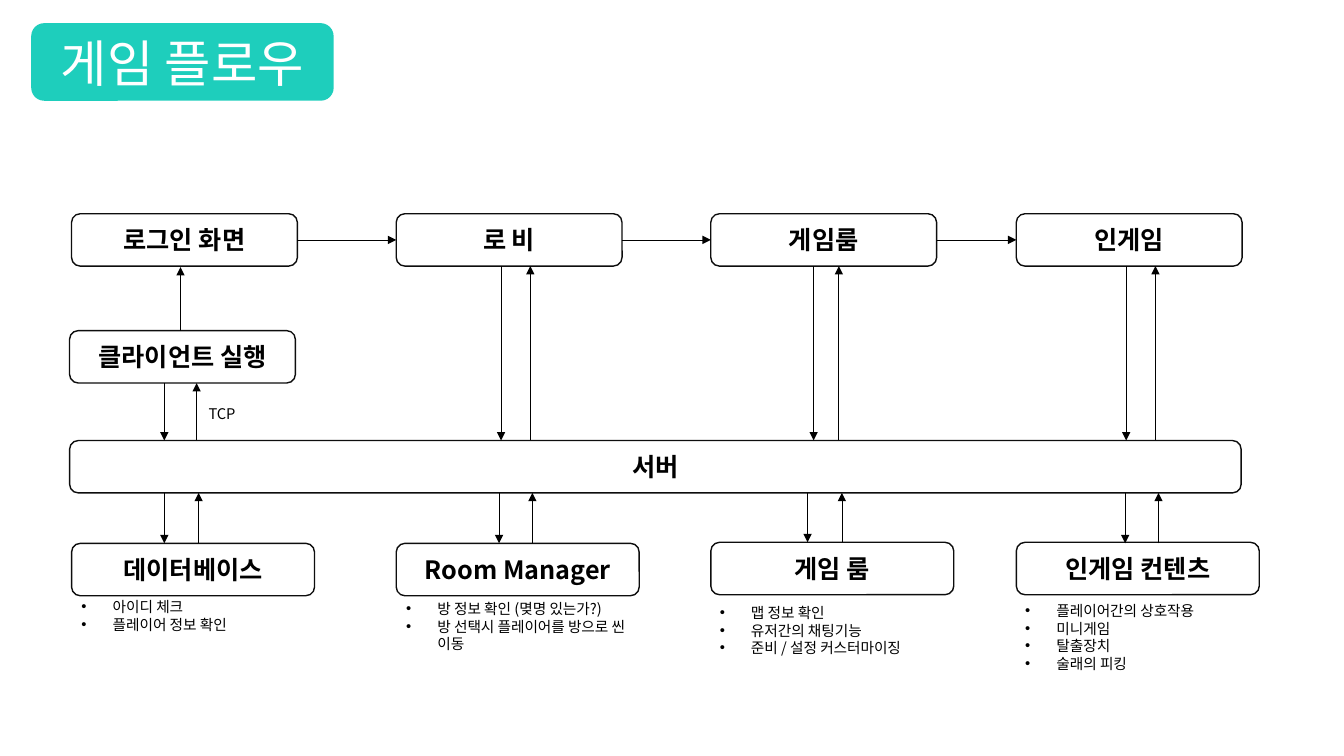
import pptx
import pptx.dml.color
import pptx.enum.shapes
import pptx.enum.text
import pptx.oxml
import pptx.oxml.ns
import pptx.util
from pptx.util import Inches

FONT = "Noto Sans CJK KR"
COLORS = {"title": "1ECEBC", "white": "FFFFFF", "outline": "0D0D0D", "black": "000000"}
COLORS = {name: pptx.dml.color.RGBColor.from_string(value) for name, value in COLORS.items()}
ROUNDED = pptx.enum.shapes.MSO_SHAPE.ROUNDED_RECTANGLE
STRAIGHT = pptx.enum.shapes.MSO_CONNECTOR.STRAIGHT
ALIGN = pptx.enum.text.PP_ALIGN
ANCHOR = pptx.enum.text.MSO_ANCHOR
qn = pptx.oxml.ns.qn
BOX_HEIGHT = 0.52


def write(paragraph, text, size, color="black", bold=False):
    run = paragraph.add_run()
    run.text = text
    run.font.size = pptx.util.Pt(size)
    run.font.bold = bold
    run.font.color.rgb = COLORS[color]
    run.font.name = FONT
    east_asian = run.font._element.makeelement(qn("a:ea"), {"typeface": FONT})
    run.font._element.find(qn("a:latin")).addnext(east_asian)


def add_arrow(x1, y1, x2, y2):
    arrow = slide.shapes.add_connector(
        STRAIGHT, Inches(x1), Inches(y1), Inches(x2), Inches(y2))
    arrow.line.color.rgb = COLORS["black"]
    arrow.line.width = pptx.util.Pt(0.5)
    line = arrow.line._get_or_add_ln()
    line.append(line.makeelement(qn("a:tailEnd"), {"type": "triangle"}))
    properties = arrow._element.spPr
    properties.append(properties.makeelement(qn("a:effectLst"), {}))
    return arrow


presentation = pptx.Presentation()
presentation.slide_width = Inches(13.33)
presentation.slide_height = Inches(7.5)
slide = presentation.slides.add_slide(presentation.slide_layouts[5])

# Title on its coloured badge
badge = slide.shapes.add_shape(ROUNDED, Inches(0.31), Inches(0.23), Inches(3), Inches(0.77))
badge.shadow.inherit = False
badge.fill.solid()
badge.fill.fore_color.rgb = COLORS["title"]
badge.line.fill.background()

title = slide.shapes.title
title.left, title.top, title.width, title.height = badge.left, badge.top, badge.width, badge.height
slide.shapes._spTree.append(title._element)
title.text_frame.vertical_anchor = ANCHOR.MIDDLE
title.text_frame.auto_size = pptx.enum.text.MSO_AUTO_SIZE.NONE
title.text_frame.paragraphs[0].alignment = ALIGN.CENTER
write(title.text_frame.paragraphs[0], "게임 플로우", 36, "white")

# Boxes: text, left, top, width
boxes = [
    ("로그인 화면", 0.71, 2.12, 2.24),
    ("로 비", 3.93, 2.12, 2.24),
    ("게임룸", 7.05, 2.12, 2.24),
    ("인게임", 10.08, 2.12, 2.24),
    ("클라이언트 실행", 0.69, 3.28, 2.24),
    ("서버", 0.69, 4.37, 11.62),
    ("데이터베이스", 0.71, 5.39, 2.41),
    ("Room Manager", 3.93, 5.39, 2.41),
    ("게임 룸", 7.05, 5.38, 2.41),
    ("인게임 컨텐츠", 10.08, 5.38, 2.41),
]
box_shapes = {}
for text, left, top, width in boxes:
    box = slide.shapes.add_shape(
        ROUNDED, Inches(left), Inches(top), Inches(width), Inches(BOX_HEIGHT))
    box.shadow.inherit = False
    box.fill.background()
    box.line.color.rgb = COLORS["outline"]
    box.line.width = pptx.util.Pt(1)
    box.text_frame.vertical_anchor = ANCHOR.MIDDLE
    box.text_frame.paragraphs[0].alignment = ALIGN.CENTER
    write(box.text_frame.paragraphs[0], text, 18, bold=True)
    box_shapes[text] = box

# Screen sequence along the top row
for (start, left, top, width), (end, next_left, _, _) in zip(boxes[:3], boxes[1:4]):
    arrow = add_arrow(left + width, 2.38, next_left, 2.38)
    arrow.begin_connect(box_shapes[start], 3)
    arrow.end_connect(box_shapes[end], 1)
add_arrow(1.79, 3.28, 1.79, 2.65)

# Arrow pairs to and from the server: down x, up x, upper end, lower end
for down, up, upper, lower in [
    (1.63, 1.95, 3.8, 4.37),
    (4.97, 5.26, 2.64, 4.37),
    (8.07, 8.32, 2.64, 4.37),
    (11.17, 11.46, 2.64, 4.37),
    (1.63, 1.97, 4.89, 5.39),
    (4.95, 5.28, 4.89, 5.39),
    (8.01, 8.35, 4.89, 5.38),
    (11.16, 11.49, 4.89, 5.39),
]:
    add_arrow(down, upper, down, lower)
    add_arrow(up, lower, up, upper)

# Protocol label and bulleted notes: left, top, width, height, bulleted, lines
for left, top, width, height, bulleted, lines in [
    (1.97, 3.97, 0.54, 0.28, False, ["TCP"]),
    (0.71, 5.88, 2.42, 0.45, True, ["아이디 체크", "플레이어 정보 확인"]),
    (3.93, 5.9, 2.42, 0.81, True,
     ["방 정보 확인 (몆명 있는가?)", "방 선택시 플레이어를 방으로 씬 이동"]),
    (7.04, 5.94, 2.42, 0.81, True,
     ["맵 정보 확인", "유저간의 채팅기능", "준비 / 설정 커스터마이징"]),
    (10.07, 5.92, 2.42, 0.81, True,
     ["플레이어간의 상호작용", "미니게임", "탈출장치", "술래의 피킹"]),
]:
    note = slide.shapes.add_textbox(Inches(left), Inches(top), Inches(width), Inches(height))
    frame = note.text_frame
    frame.word_wrap = True
    for index, text in enumerate(lines):
        paragraph = frame.add_paragraph() if index else frame.paragraphs[0]
        paragraph.line_spacing = pptx.util.Pt(12.6)
        if bulleted:
            properties = paragraph._element.get_or_add_pPr()
            properties.set("marL", str(Inches(0.31)))
            properties.set("indent", str(-Inches(0.31)))
            properties.append(properties.makeelement(qn("a:buFont"), {"typeface": "Arial"}))
            properties.append(properties.makeelement(qn("a:buChar"), {"char": "•"}))
        write(paragraph, text, 10.5)

presentation.save("out.pptx")
